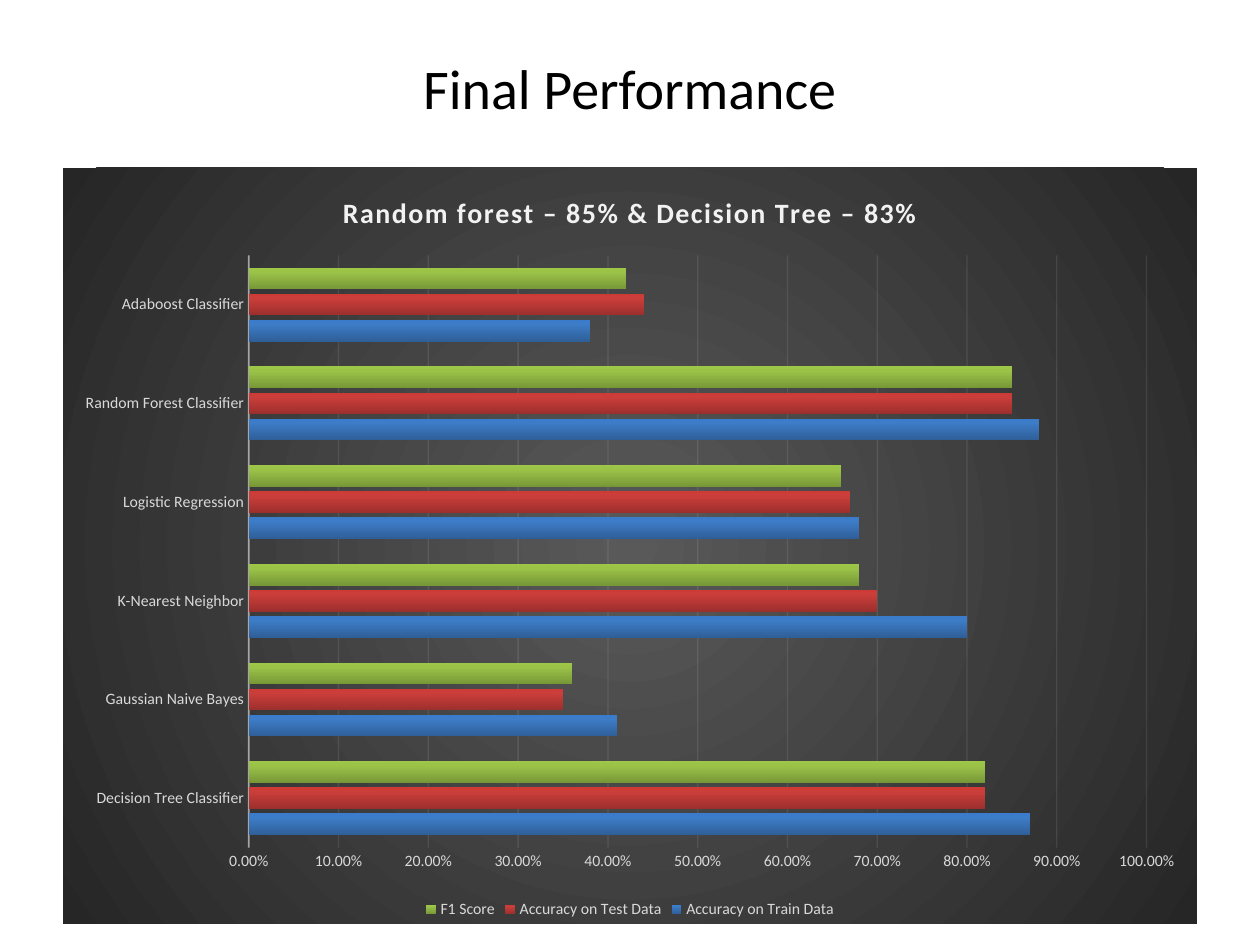
import pptx
import pptx.chart.data
import pptx.dml.color
import pptx.enum.chart
import pptx.enum.text
import pptx.oxml
import pptx.oxml.ns
import pptx.util
from pptx.util import Inches

RGBColor = pptx.dml.color.RGBColor
BLACK = RGBColor(0x00, 0x00, 0x00)
WHITE = RGBColor(0xF2, 0xF2, 0xF2)
LIGHT_GRAY = RGBColor(0xD9, 0xD9, 0xD9)
MID_GRAY = RGBColor(0x59, 0x59, 0x59)
DARK_GRAY = RGBColor(0x26, 0x26, 0x26)
BLUES = [RGBColor(0x2F, 0x5F, 0x99), RGBColor(0x3D, 0x7C, 0xC7), RGBColor(0x3A, 0x7C, 0xCB)]
REDS = [RGBColor(0x9C, 0x2F, 0x2D), RGBColor(0xCB, 0x3E, 0x3A), RGBColor(0xCE, 0x3B, 0x37)]
GREENS = [RGBColor(0x77, 0x97, 0x37), RGBColor(0x9B, 0xC3, 0x48), RGBColor(0x9D, 0xC7, 0x46)]

FONT = "Calibri"
CLASSIFIERS = [
    "Decision Tree Classifier", "Gaussian Naive Bayes", "K-Nearest Neighbor",
    "Logistic Regression", "Random Forest Classifier", "Adaboost Classifier",
]
SCORES = [
    ("Accuracy on Train Data", [0.87, 0.41, 0.8, 0.68, 0.88, 0.38], BLUES),
    ("Accuracy on Test Data", [0.82, 0.35, 0.7, 0.67, 0.85, 0.44], REDS),
    ("F1 Score", [0.82, 0.36, 0.68, 0.66, 0.85, 0.42], GREENS),
]
BAR_STOPS = [0, 80, 100]
BAR_DIRECTION = '<a:lin ang="16200000" scaled="0"/>'
FROM_CENTER = ('<a:path path="circle"><a:fillToRect l="50000" t="50000" '
               'r="50000" b="50000"/></a:path>')


def style_font(font, size, color, bold=False):
    font.name = FONT
    font.size = pptx.util.Pt(size)
    font.color.rgb = color
    font.bold = bold


def gradient(positions, colors, direction):
    stops = "".join(
        f'<a:gs pos="{position * 1000}"><a:srgbClr val="{color}"/></a:gs>'
        for position, color in zip(positions, colors))
    return pptx.oxml.parse_xml(
        f'<a:gradFill {pptx.oxml.ns.nsdecls("a")} rotWithShape="1">'
        f'<a:gsLst>{stops}</a:gsLst>{direction}</a:gradFill>')


def style_line(line, width, opacity):
    """Draw a thin white line with the given opacity in percent."""
    line.color.rgb = WHITE
    line.width = pptx.util.Pt(width)
    color = line.fill._xPr.find(".//" + pptx.oxml.ns.qn("a:srgbClr"))
    color.append(pptx.oxml.parse_xml(
        f'<a:alpha {pptx.oxml.ns.nsdecls("a")} val="{opacity * 1000}"/>'))


def place_title(slide, left, top, width, height):
    title = slide.shapes.title
    title.left, title.top, title.width, title.height = left, top, width, height
    frame = title.text_frame
    frame.text = "Final Performance"
    frame.vertical_anchor = pptx.enum.text.MSO_ANCHOR.MIDDLE
    paragraph = frame.paragraphs[0]
    paragraph.alignment = pptx.enum.text.PP_ALIGN.CENTER
    style_font(paragraph.runs[0].font, 32, BLACK)


def style_chart_title(chart):
    chart.has_title = True
    frame = chart.chart_title.text_frame
    frame.text = "Random forest – 85% & Decision Tree – 83%"
    font = frame.paragraphs[0].runs[0].font
    style_font(font, 16, WHITE, bold=True)
    font._element.set("spc", "100")
    chart.chart_title.include_in_layout = False


def style_axes(chart):
    for axis in (chart.category_axis, chart.value_axis):
        axis.major_tick_mark = pptx.enum.chart.XL_TICK_MARK.NONE
        axis.minor_tick_mark = pptx.enum.chart.XL_TICK_MARK.NONE
        style_font(axis.tick_labels.font, 9, LIGHT_GRAY)
    style_line(chart.category_axis.format.line, 1, 54)

    scores = chart.value_axis
    scores.minimum_scale, scores.maximum_scale, scores.major_unit = 0, 1, 0.1
    scores.format.line.fill.background()
    scores.tick_labels.number_format = "0.00%"
    scores.tick_labels.number_format_is_linked = False
    scores.has_major_gridlines = True
    style_line(scores.major_gridlines.format.line, 0.75, 10)


def add_performance_chart(slide, left, top, width, height):
    data = pptx.chart.data.CategoryChartData(number_format="0.00%")
    data.categories = CLASSIFIERS
    for name, values, _ in SCORES:
        data.add_series(name, values)
    chart = slide.shapes.add_chart(
        pptx.enum.chart.XL_CHART_TYPE.BAR_CLUSTERED,
        left, top, width, height, data).chart
    style_font(chart.font, 10, BLACK)
    style_chart_title(chart)
    style_axes(chart)

    chart.has_legend = True
    chart.legend.position = pptx.enum.chart.XL_LEGEND_POSITION.BOTTOM
    chart.legend.include_in_layout = False
    style_font(chart.legend.font, 9, LIGHT_GRAY)

    plot = chart.plots[0]
    plot.gap_width = 115
    plot.overlap = -20
    plot.vary_by_categories = False
    for series, (_, _, colors) in zip(plot.series, SCORES):
        series.invert_if_negative = False
        bar_properties = series._element.get_or_add_spPr()
        bar_properties.append(gradient(BAR_STOPS, colors, BAR_DIRECTION))

    background = pptx.oxml.parse_xml(f'<c:spPr {pptx.oxml.ns.nsdecls("c", "a")}/>')
    background.append(gradient([0, 100], [MID_GRAY, DARK_GRAY], FROM_CENTER))
    chart._chartSpace.find(pptx.oxml.ns.qn("c:chart")).addnext(background)


def main():
    presentation = pptx.Presentation()
    presentation.slide_width = Inches(10)
    presentation.slide_height = Inches(7.5)
    slide = presentation.slides.add_slide(
        presentation.slide_layouts.get_by_name("Title Only"))
    left, width = Inches(0.5), Inches(9)
    place_title(slide, left, Inches(0.3), width, Inches(0.78))
    add_performance_chart(slide, left, Inches(1.33), width, Inches(6))
    presentation.save("out.pptx")


if __name__ == "__main__":
    main()
